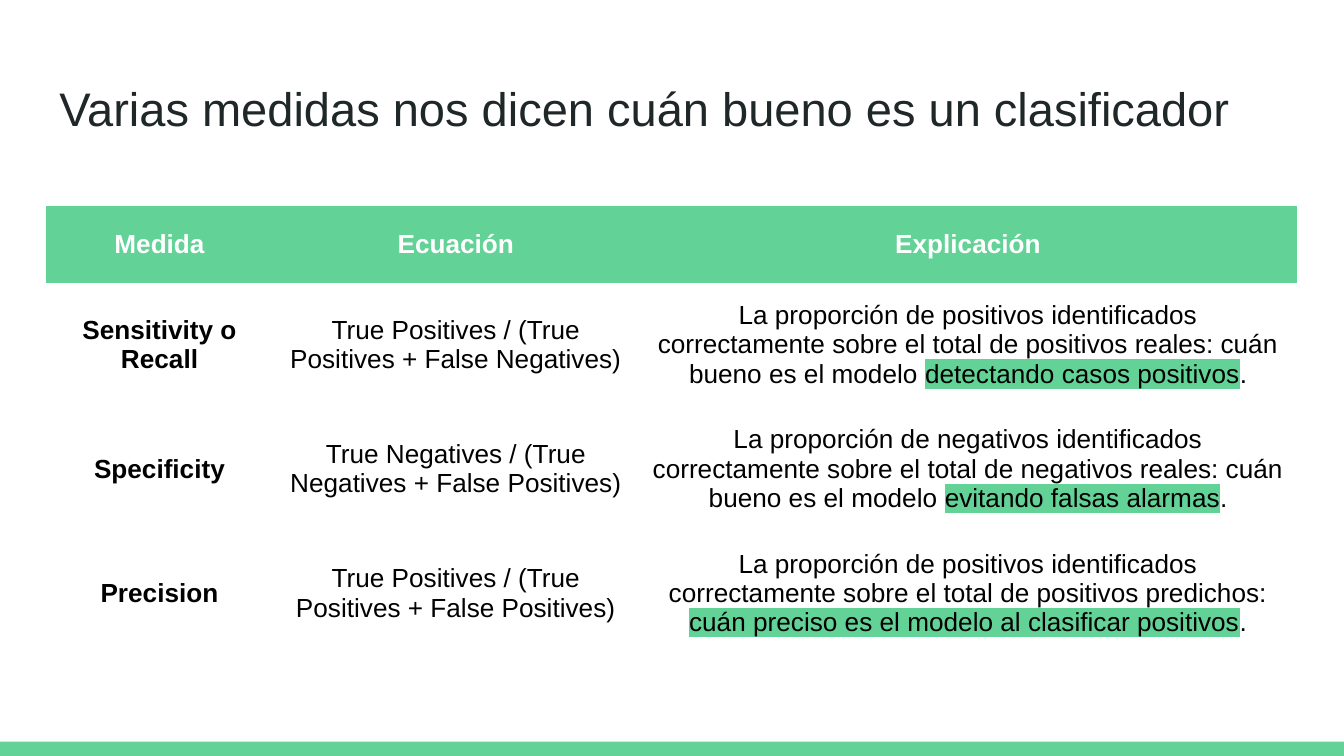
from lxml import etree
from pptx import Presentation
from pptx import util as u
from pptx.dml import color
from pptx.enum import shapes, text
from pptx.oxml import ns

COLORS = {"green": "63D297", "title": "202729", "text": "000000", "white": "FFFFFF"}
FONT = "Arial"
NO_STYLE = "{2D5ABB26-0587-4C30-8999-92F81FD0307C}"
MARGIN = 0.87
PAD = u.Cm(0.25)
HEADERS = ["Medida", "Ecuación", "Explicación"]
COLUMNS = [4.29, 6.91, 12.45]
HEADER_HEIGHT, ROW_HEIGHT = 1.45, 2.35
MEASURES = [
    ("Sensitivity o Recall",
     "True Positives / (True Positives + False Negatives)",
     ("La proporción de positivos identificados correctamente sobre el total de "
      "positivos reales: cuán bueno es el modelo ", "detectando casos positivos", ".")),
    ("Specificity",
     "True Negatives / (True Negatives + False Positives)",
     ("La proporción de negativos identificados correctamente sobre el total de "
      "negativos reales: cuán bueno es el modelo ", "evitando falsas alarmas", ".")),
    ("Precision",
     "True Positives / (True Positives + False Positives)",
     ("La proporción de positivos identificados correctamente sobre el total de "
      "positivos predichos: ", "cuán preciso es el modelo al clasificar positivos", ".")),
]


def rgb(name):
    return color.RGBColor.from_string(COLORS[name])


class Deck:
    """Holds the style and the current slide."""

    def __init__(self, prs):
        self.s = prs.slides.add_slide(prs.slide_layouts[5])

    def font(self, p, size, name, bold=False):
        p.font.name, p.font.size, p.font.bold = FONT, u.Pt(size), bold
        p.font.color.rgb = rgb(name)

    def pad(self, box):
        box.margin_left = box.margin_right = PAD
        box.margin_top = box.margin_bottom = PAD
        box.vertical_anchor = text.MSO_ANCHOR.MIDDLE

    def bar(self, x, y, w, h):
        sp = self.s.shapes.add_shape(
            shapes.MSO_SHAPE.RECTANGLE, u.Cm(x), u.Cm(y), u.Cm(w), u.Cm(h))
        sp.shadow.inherit = False
        sp.fill.solid()
        sp.fill.fore_color.rgb = rgb("green")
        sp.line.fill.background()

    def title(self, words, x, y, w, h):
        sp = self.s.shapes.title
        sp.left, sp.top, sp.width, sp.height = u.Cm(x), u.Cm(y), u.Cm(w), u.Cm(h)
        tf = sp.text_frame
        tf.text = words
        tf.word_wrap = True
        tf.auto_size = text.MSO_AUTO_SIZE.NONE
        self.pad(tf)
        p = tf.paragraphs[0]
        p.alignment = text.PP_ALIGN.LEFT
        self.font(p, 25.2, "title")

    def highlight(self, r):
        mark = etree.SubElement(r.font._element, ns.qn("a:highlight"))
        etree.SubElement(mark, ns.qn("a:srgbClr"), val=COLORS["green"])

    def cell(self, cell, parts, name, bold, fill=None):
        self.pad(cell)
        if fill:
            cell.fill.solid()
            cell.fill.fore_color.rgb = rgb(fill)
        else:
            cell.fill.background()
        p = cell.text_frame.paragraphs[0]
        p.alignment = text.PP_ALIGN.CENTER
        self.font(p, 14, name, bold)
        for i, part in enumerate(parts):
            r = p.add_run()
            r.text = part
            if i == 1:
                self.highlight(r)

    def table(self, x, y):
        height = HEADER_HEIGHT + ROW_HEIGHT * len(MEASURES)
        table = self.s.shapes.add_table(
            len(MEASURES) + 1, len(COLUMNS), u.Cm(x), u.Cm(y),
            u.Cm(sum(COLUMNS)), u.Cm(height)).table
        table._tbl.tblPr.find(ns.qn("a:tableStyleId")).text = NO_STYLE
        table.horz_banding = False
        for column, width in zip(table.columns, COLUMNS):
            column.width = u.Cm(width)
        for i, row in enumerate(table.rows):
            row.height = u.Cm(ROW_HEIGHT if i else HEADER_HEIGHT)
        for j, header in enumerate(HEADERS):
            self.cell(table.cell(0, j), [header], "white", True, "green")
        for i, (measure, equation, explanation) in enumerate(MEASURES, 1):
            self.cell(table.cell(i, 0), [measure], "text", True)
            self.cell(table.cell(i, 1), [equation], "text", False)
            self.cell(table.cell(i, 2), explanation, "text", False)


def main():
    prs = Presentation()
    prs.slide_width, prs.slide_height = u.Cm(25.4), u.Cm(14.29)
    deck = Deck(prs)
    deck.bar(0, 14.02, 25.4, 0.27)
    deck.title("Varias medidas nos dicen cuán bueno es un clasificador",
               MARGIN, 1.24, 23.66, 1.59)
    deck.table(MARGIN, 3.89)
    prs.save("out.pptx")


if __name__ == "__main__":
    main()
